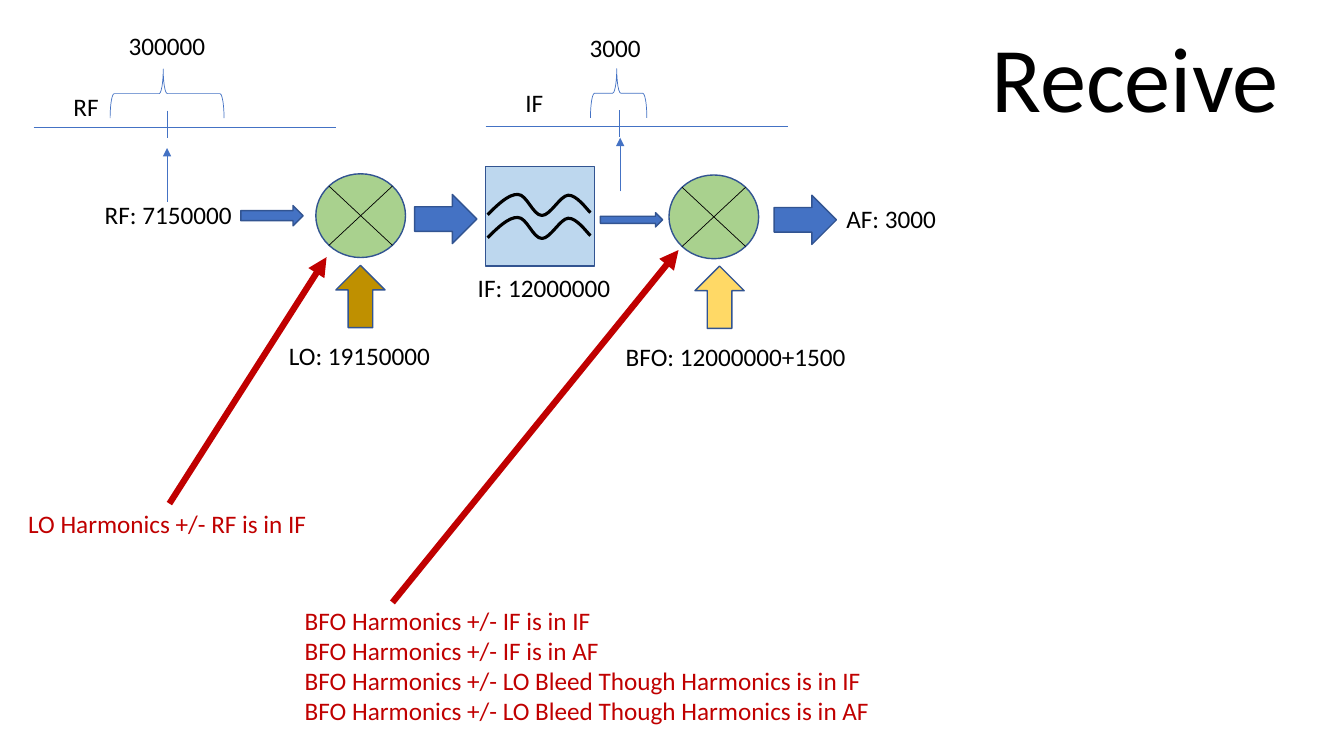
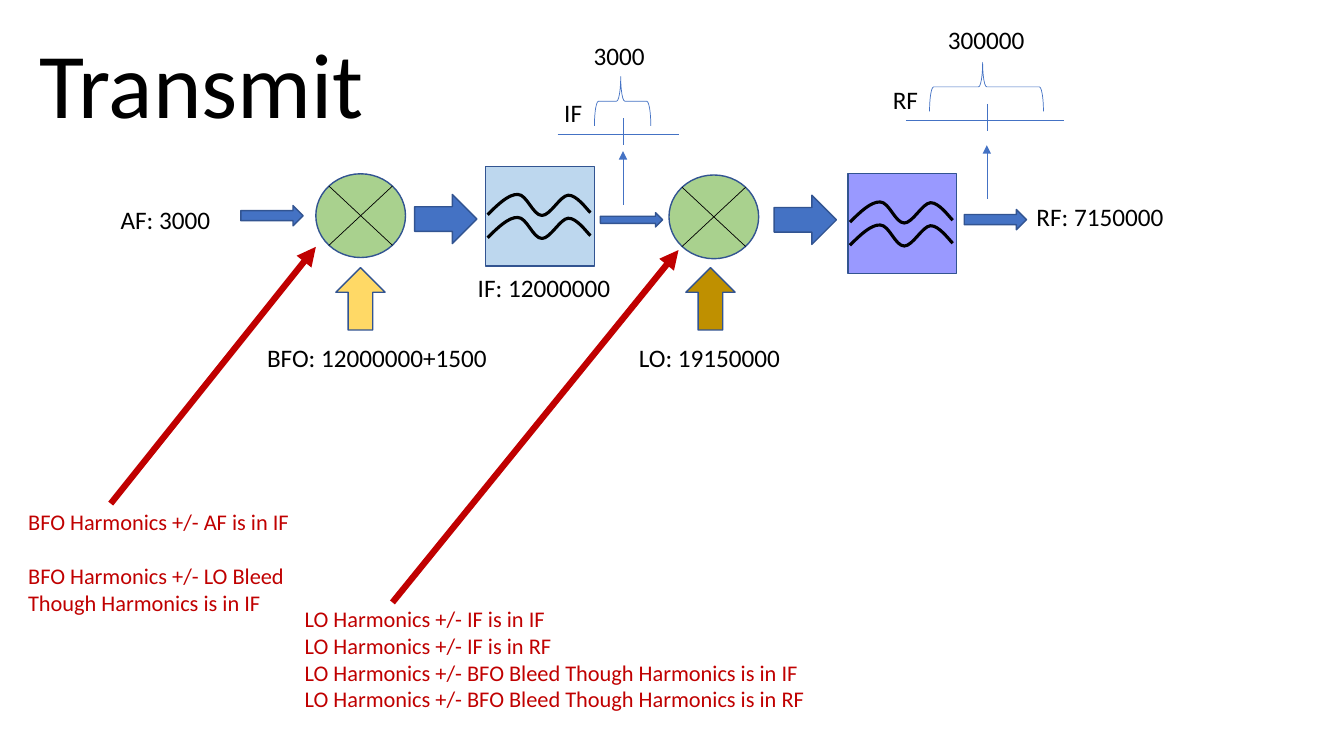
"""Build two block diagrams of a radio: the receive and the transmit chain."""
import pptx
import pptx.util
import pptx.dml.color
import pptx.enum.shapes
import pptx.enum.text
import pptx.oxml
import pptx.oxml.ns
from pptx.util import Cm, Pt

COLORS = {
    "text": "000000", "note": "C00000", "flow": "4472C4", "outline": "325491",
    "lo": "BF9000", "bfo": "FFD966", "mixer": "A9D18E",
    "if_filter": "BDD7EE", "rf_filter": "9999FF",
}
FONT = "Calibri"
SHAPES = pptx.enum.shapes.MSO_SHAPE
ARROW_LENGTH, THIN, MEDIUM, THICK = 1.57, 0.36, 0.51, 1.24
BANDS = {
    "RF": {"span": "300000", "span_w": 2.46, "rise": 2.55, "shift": 0,
           "brace_w": 2.87, "name_w": 1.14},
    "IF": {"span": "3000", "span_w": 1.8, "rise": 2.51, "shift": -0.09,
           "brace_w": 1.42, "name_w": 0.97},
}
WAVE = [
    (0.05, 1.22), (0.31, 0.96), (0.58, 0.70), (0.81, 0.71),
    (1.04, 0.71), (1.19, 1.24), (1.42, 1.24),
    (1.63, 1.24), (1.88, 0.74), (2.08, 0.73),
    (2.29, 0.72), (2.54, 1.07), (2.64, 1.17),
]


def rgb(name):
    """Return the named colour."""
    return pptx.dml.color.RGBColor.from_string(COLORS[name])


def element(tag, attributes=""):
    """Return a new drawing element."""
    return pptx.oxml.parse_xml(
        "<a:%s %s %s/>" % (tag, pptx.oxml.ns.nsdecls("a"), attributes))


def add_text(shapes, x, y, w, lines, size=18, color="text", h=1.02, wrap=False, gap=0):
    """Add a text box with one paragraph per line."""
    tf = shapes.add_textbox(Cm(x), Cm(y), Cm(w), Cm(h)).text_frame
    tf.word_wrap = wrap
    tf.auto_size = pptx.enum.text.MSO_AUTO_SIZE.SHAPE_TO_FIT_TEXT
    for i, line in enumerate(lines):
        p = tf.add_paragraph() if i else tf.paragraphs[0]
        if i and gap:
            p.space_before = Pt(gap)
        r = p.add_run()
        r.text = line
        r.font.name = FONT
        r.font.size = Pt(size)
        r.font.color.rgb = rgb(color)


def paint(sp, fill, line, width):
    """Set the fill and outline of a shape and drop its shadow."""
    sp.shadow.inherit = False
    if fill:
        sp.fill.solid()
        sp.fill.fore_color.rgb = rgb(fill)
    else:
        sp.fill.background()
    sp.line.color.rgb = rgb(line)
    sp.line.width = Pt(width)


def add_shape(shapes, kind, x, y, w, h, fill=None, line="outline", width=1, rotation=0):
    """Add a preset shape."""
    sp = shapes.add_shape(kind, Cm(x), Cm(y), Cm(w), Cm(h))
    sp.rotation = rotation
    paint(sp, fill, line, width)
    return sp


def add_line(shapes, x1, y1, x2, y2, color="flow", width=0.5, arrow=False):
    """Add a straight line, with an arrowhead at its end if asked."""
    c = shapes.add_connector(
        pptx.enum.shapes.MSO_CONNECTOR.STRAIGHT, Cm(x1), Cm(y1), Cm(x2), Cm(y2))
    c.line.color.rgb = rgb(color)
    c.line.width = Pt(width)
    props = c._element.spPr
    if arrow:
        props.find(pptx.oxml.ns.qn("a:ln")).append(element("tailEnd", "type='triangle'"))
    props.append(element("effectLst"))


def add_flow(shapes, x, y, h):
    """Add a signal arrow pointing right."""
    add_shape(shapes, SHAPES.RIGHT_ARROW, x, y, ARROW_LENGTH, h, "flow")


def add_oscillator(shapes, x, y, fill):
    """Add an oscillator arrow pointing up into a mixer."""
    add_shape(shapes, SHAPES.RIGHT_ARROW, x, y, ARROW_LENGTH, THICK, fill, rotation=270)


def add_mixer(shapes, x, y, w=2.26, h=2.11):
    """Add a grouped crossed circle."""
    group = shapes.add_group_shape().shapes
    add_shape(group, SHAPES.OVAL, x, y, w, h, "mixer")
    dx, dy = 0.146 * w, 0.146 * h
    add_line(group, x + dx, y + dy, x + w - dx, y + h - dy, "text")
    add_line(group, x + w - dx, y + dy, x + dx, y + h - dy, "text")


def add_wave(shapes, x, y, fill):
    """Add a wave whose points become joined Bezier curves."""
    points = [(Cm(x + px), Cm(y + py)) for px, py in WAVE]
    builder = shapes.build_freeform(*points[0])
    builder.add_line_segments(points[1:], close=False)
    wave = builder.convert_to_shape()
    paint(wave, fill, "text", 2.25)
    segments = list(wave._element.iter(pptx.oxml.ns.qn("a:lnTo")))
    outline = segments[0].getparent()
    for i in range(0, len(segments), 3):
        curve = element("cubicBezTo")
        for segment in segments[i:i + 3]:
            curve.append(segment[0])
            outline.remove(segment)
        outline.append(curve)


def add_filter(shapes, x, y, fill, wave_fill=None):
    """Add a grouped filter box with two waves."""
    group = shapes.add_group_shape().shapes
    add_shape(group, SHAPES.RECTANGLE, x, y, 2.74, 2.51, fill)
    for drop in (0, 0.58):
        add_wave(group, x, y + drop, wave_fill)


def add_spectrum(shapes, name, left, right, y, tick, name_x, name_y):
    """Add a frequency axis with its band brace and labels."""
    band = BANDS[name]
    add_line(shapes, left, y, right, y)
    w = band["brace_w"]
    brace = add_shape(shapes, SHAPES.LEFT_BRACE, tick - 0.63, y - 0.84 - w / 2, THICK, w,
                      line="flow", width=0.5, rotation=90)
    brace.adjustments[0] = 0.083
    brace.adjustments[1] = 0.534
    add_line(shapes, tick, y - 0.41, tick, y + 0.27)
    add_text(shapes, tick + band["shift"] - band["span_w"] / 2, y - band["rise"],
             band["span_w"], [band["span"]])
    add_text(shapes, name_x, name_y, band["name_w"], [name])


def add_tap(shapes, x, tip):
    """Add a thin arrow from the signal up to its spectrum."""
    add_line(shapes, x, tip + 1.35, x, tip, arrow=True)


def add_pointer(shapes, x1, y1, x2, y2):
    """Add a heavy arrow from a note to a mixer."""
    add_line(shapes, x1, y1, x2, y2, "note", 4.5, arrow=True)


def add_chain(shapes, title, x, y, w):
    """Add the title and the stages that both directions share."""
    add_flow(shapes, 6.07, 5.18, MEDIUM)
    add_flow(shapes, 10.45, 4.9, THICK)
    add_flow(shapes, 15.13, 5.36, THIN)
    add_flow(shapes, 19.51, 4.92, THICK)
    add_text(shapes, 11.79, 6.73, 3.89, ["IF: 12000000"])
    add_pointer(shapes, 9.89, 15.18, 17.1, 6.3)
    add_mixer(shapes, 7.96, 4.38)
    add_filter(shapes, 12.24, 4.19, "if_filter")
    add_mixer(shapes, 16.86, 4.41)
    add_text(shapes, x, y, w, [title], 66, h=3.07)


def receive(shapes):
    """Draw the receive chain."""
    add_spectrum(shapes, "RF", 0.85, 8.46, 3.2, 4.22, 1.6, 2.18)
    add_tap(shapes, 4.21, 3.73)
    add_spectrum(shapes, "IF", 12.24, 19.86, 3.19, 15.6, 12.99, 2.07)
    add_tap(shapes, 15.63, 3.47)
    add_oscillator(shapes, 8.3, 6.85, "lo")
    add_oscillator(shapes, 17.35, 6.87, "bfo")
    add_text(shapes, 2.39, 4.9, 3.76, ["RF: 7150000"])
    add_text(shapes, 7.03, 8.45, 4.11, ["LO: 19150000"])
    add_text(shapes, 15.52, 8.48, 6.12, ["BFO: 12000000+1500"])
    add_text(shapes, 21.08, 5, 2.79, ["AF: 3000"])
    add_pointer(shapes, 4.27, 12.69, 8.23, 6.48)
    add_text(shapes, 0.46, 12.68, 7.59, ["LO Harmonics +/- RF is in IF"], color="note")
    add_text(shapes, 7.43, 15.12, 14.91, [
        "BFO Harmonics +/- IF is in IF",
        "BFO Harmonics +/- IF is in AF",
        "BFO Harmonics +/- LO Bleed Though Harmonics is in IF",
        "BFO Harmonics +/- LO Bleed Though Harmonics is in AF",
    ], color="note", h=4.11)
    add_chain(shapes, "Receive", 24.74, 0.38, 7.82)


def transmit(shapes):
    """Draw the transmit chain."""
    add_tap(shapes, 15.7, 3.81)
    add_tap(shapes, 24.87, 3.66)
    add_spectrum(shapes.add_group_shape().shapes,
                 "RF", 22.83, 26.82, 3.03, 24.87, 22.25, 2.01)
    add_spectrum(shapes.add_group_shape().shapes,
                 "IF", 14.05, 17.1, 3.39, 15.7, 13.97, 2.34)
    add_flow(shapes, 24.3, 5.28, MEDIUM)
    add_oscillator(shapes, 8.3, 6.91, "bfo")
    add_oscillator(shapes, 17.12, 6.91, "lo")
    add_text(shapes, 2.79, 5.03, 2.79, ["AF: 3000"])
    add_text(shapes, 6.48, 8.51, 6.12, ["BFO: 12000000+1500"])
    add_text(shapes, 15.85, 8.51, 4.11, ["LO: 19150000"])
    add_text(shapes, 25.87, 4.95, 3.76, ["RF: 7150000"])
    add_pointer(shapes, 2.79, 12.69, 7.96, 6.22)
    add_text(shapes, 0.46, 12.68, 8.51, [
        "BFO Harmonics +/- AF is in IF",
        "BFO Harmonics +/- LO Bleed Though Harmonics is in IF",
    ], 16, "note", 3.76, wrap=True, gap=19.5)
    add_text(shapes, 7.43, 15.12, 13.28, [
        "LO Harmonics +/- IF is in IF",
        "LO Harmonics +/- IF is in RF",
        "LO Harmonics +/- BFO Bleed Though Harmonics is in IF",
        "LO Harmonics +/- BFO Bleed Though Harmonics is in RF",
    ], 16, "note", 3.76)
    add_chain(shapes, "Transmit", 0.74, 0.53, 8.76)
    add_filter(shapes, 21.37, 4.38, "rf_filter", "rf_filter")


def main():
    """Build and save the presentation."""
    prs = pptx.Presentation()
    prs.slide_width, prs.slide_height = Cm(33.87), Cm(19.05)
    for draw in (receive, transmit):
        s = prs.slides.add_slide(prs.slide_layouts[6])
        draw(s.shapes)
    prs.save("out.pptx")


main()
